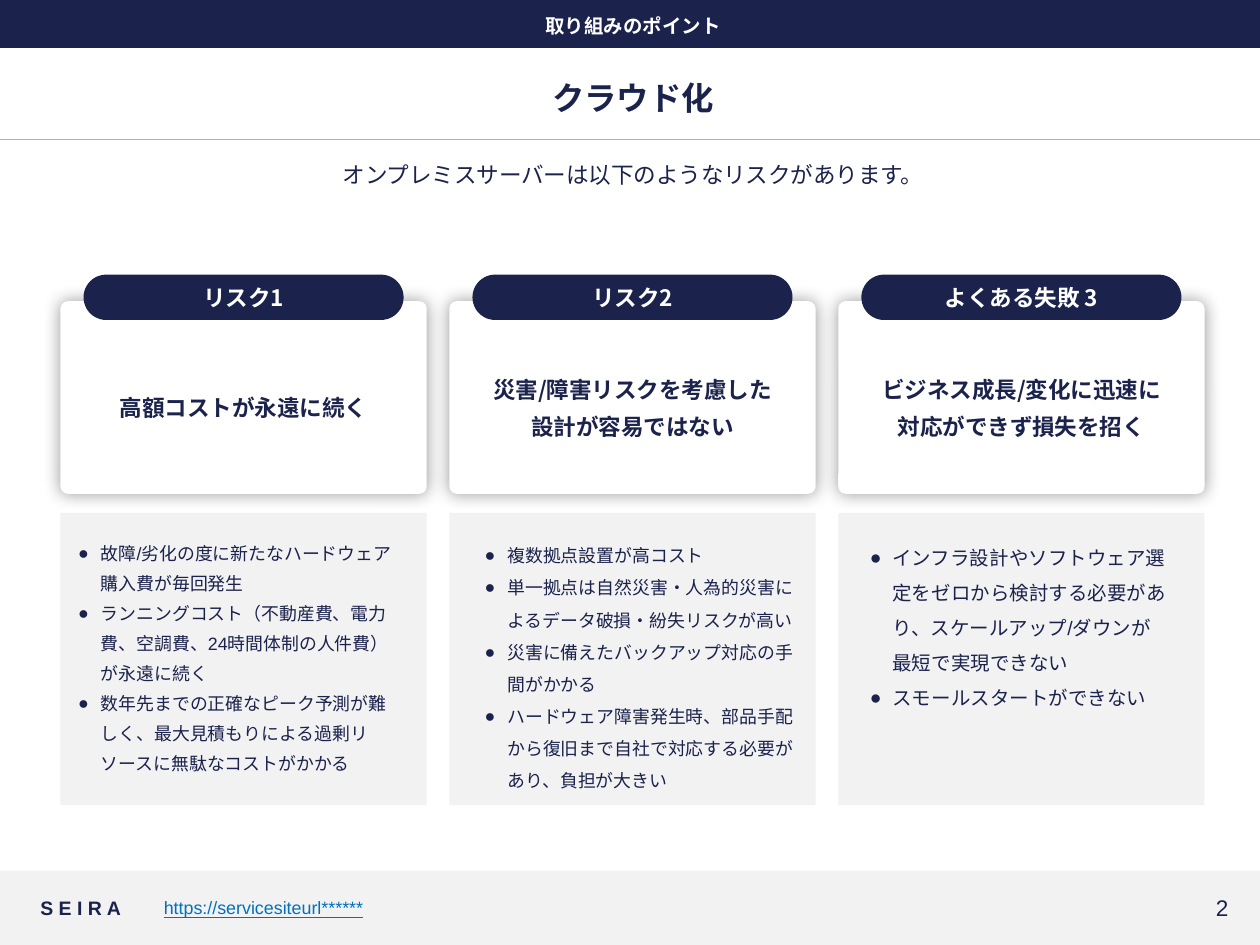
import pptx
import pptx.dml.color
import pptx.enum.shapes
import pptx.enum.text
import pptx.oxml
import pptx.oxml.ns
import pptx.util
from lxml import etree

NAVY, WHITE, PALE, RULE, LINK = "1B224C", "FFFFFF", "F2F2F2", "AFAFAF", "0070C0"
SANS, JAPANESE = "Arial", "Noto Sans CJK JP"
SHAPES = pptx.enum.shapes.MSO_SHAPE
ALIGN = pptx.enum.text.PP_ALIGN
ANCHOR = pptx.enum.text.MSO_ANCHOR
INCH = pptx.util.Inches
POINT = pptx.util.Pt

RISKS = [
    {
        "label": "リスク1",
        "claim": ["高額コストが永遠に続く"],
        "points": [
            "故障/劣化の度に新たなハードウェア購入費が毎回発生",
            "ランニングコスト（不動産費、電力費、空調費、24時間体制の人件費）が永遠に続く",
            "数年先までの正確なピーク予測が難しく、最大見積もりによる過剰リソースに無駄なコストがかかる",
        ],
        "inset": 0.10, "width": 2.65, "size": 10.2, "spacing": 1.4,
    },
    {
        "label": "リスク2",
        "claim": ["災害/障害リスクを考慮した", "設計が容易ではない"],
        "points": [
            "複数拠点設置が高コスト",
            "単一拠点は自然災害・人為的災害によるデータ破損・紛失リスクが高い",
            "災害に備えたバックアップ対応の手間がかかる",
            "ハードウェア障害発生時、部品手配から復旧まで自社で対応する必要があり、負担が大きい",
        ],
        "inset": 0.24, "width": 2.58, "size": 10.2, "spacing": 1.5,
    },
    {
        "label": "よくある失敗 3",
        "claim": ["ビジネス成長/変化に迅速に", "対応ができず損失を招く"],
        "points": [
            "インフラ設計やソフトウェア選定をゼロから検討する必要があり、スケールアップ/ダウンが最短で実現できない",
            "スモールスタートができない",
        ],
        "inset": 0.21, "width": 2.46, "size": 11.1, "spacing": 1.5,
    },
]


def color(value):
    return pptx.dml.color.RGBColor.from_string(value)


def add_child(parent, tag, **attributes):
    return etree.SubElement(parent, pptx.oxml.ns.qn(tag), attributes)


def add_bullet(para):
    properties = para._p.get_or_add_pPr()
    indent = INCH(0.18)
    properties.set("marL", str(indent))
    properties.set("indent", str(-indent))
    properties.set("hangingPunct", "0")
    bullet_color = add_child(properties, "a:buClr")
    add_child(bullet_color, "a:srgbClr", val=NAVY)
    add_child(properties, "a:buFont", typeface=SANS)
    add_child(properties, "a:buChar", char="●")


def write(shape, lines, size, tint=NAVY, font=JAPANESE, bold=False, underline=False,
          align=ALIGN.CENTER, anchor=ANCHOR.MIDDLE, after=0, spacing=None, bullets=False):
    frame = shape.text_frame
    frame.word_wrap = True
    frame.auto_size = pptx.enum.text.MSO_AUTO_SIZE.NONE
    frame.vertical_anchor = anchor
    frame.margin_left = frame.margin_right = INCH(0.04)
    frame.margin_top = frame.margin_bottom = INCH(0.04)
    frame.text = "\n".join(lines)
    for para in frame.paragraphs:
        para.alignment = align
        para.space_after = POINT(after)
        if spacing:
            para.line_spacing = spacing
        if bullets:
            add_bullet(para)
        para.font.size = POINT(size)
        para.font.bold = bold
        para.font.underline = underline
        para.font.color.rgb = color(tint)
        para.font.name = font
        add_child(para.font._element, "a:ea", typeface=JAPANESE)


def add_text(page, box, lines, size, **style):
    shape = page.shapes.add_textbox(*map(INCH, box))
    write(shape, lines, size, **style)


def add_block(page, box, fill, kind=SHAPES.RECTANGLE, rounding=None):
    shape = page.shapes.add_shape(kind, *map(INCH, box))
    shape.shadow.inherit = False
    shape.fill.solid()
    shape.fill.fore_color.rgb = color(fill)
    shape.line.fill.background()
    if rounding is not None:
        shape.adjustments[0] = rounding
    return shape


def add_glow_shadow(shape):
    effects = shape._element.spPr.find(pptx.oxml.ns.qn("a:effectLst"))
    shadow = add_child(effects, "a:outerShdw", blurRad=str(POINT(10)), dist="0",
                       dir="0", algn="ctr", rotWithShape="0")
    shade = add_child(shadow, "a:srgbClr", val="000000")
    add_child(shade, "a:alpha", val="40000")


def build_header(page, box):
    left, top, width, height = box
    margin = 0.048 * width
    inner = width - 2 * margin + 0.05
    add_block(page, (left, top, width, 0.38), NAVY)
    add_text(page, (left + margin, top + 0.07, inner, 0.28), ["取り組みのポイント"],
             11.1, tint=WHITE, bold=True, anchor=ANCHOR.TOP)
    title = page.shapes.title
    title.left, title.top = INCH(left + margin), INCH(top + 0.58)
    title.width, title.height = INCH(inner), INCH(0.39)
    write(title, ["クラウド化"], 18.5, bold=True)
    rule_y = INCH(top + 1.11)
    rule = page.shapes.add_connector(pptx.enum.shapes.MSO_CONNECTOR.STRAIGHT,
                                     INCH(left), rule_y, INCH(left + width), rule_y)
    rule.line.color.rgb = color(RULE)
    rule.line.width = POINT(0.5)
    add_child(rule._element.spPr, "a:effectLst")
    add_text(page, (left + margin, top + 1.24, inner, height - 1.24),
             ["オンプレミスサーバーは以下のようなリスクがあります。"],
             12.9, anchor=ANCHOR.TOP, after=3.7)


def build_risk(page, box, risk):
    left, top, width, height = box
    pill_width = 2.54
    pill_left = left + (width - pill_width) / 2
    card = add_block(page, (left, top + 0.21, width, 1.53), WHITE,
                     SHAPES.ROUNDED_RECTANGLE, 0.039)
    add_glow_shadow(card)
    pill = add_block(page, (pill_left, top, pill_width, 0.36), NAVY,
                     SHAPES.ROUNDED_RECTANGLE, 0.5)
    write(pill, [risk["label"]], 12.9, tint=WHITE, bold=True)
    add_text(page, (pill_left, top + 0.51, pill_width, 1.09), risk["claim"],
             12.9, bold=True, after=5.5)
    panel_top = top + 1.89
    panel_height = height - 1.89
    add_block(page, (left, panel_top, width, panel_height), PALE)
    add_text(page, (left + risk["inset"], panel_top + 0.13, risk["width"], panel_height - 0.25),
             risk["points"], risk["size"], font=SANS, align=ALIGN.LEFT,
             anchor=ANCHOR.TOP, spacing=risk["spacing"], bullets=True)


def build_risks(page, box, risks):
    left, top, width, height = box
    gap = 0.18
    column = (width - gap * (len(risks) - 1)) / len(risks)
    for index, risk in enumerate(risks):
        build_risk(page, (left + index * (column + gap), top, column, height), risk)


def build_footer(page, box):
    left, top, width, height = box
    add_block(page, box, PALE)
    row, row_height = top + 0.14, 0.31
    add_text(page, (left + 0.28, row, 0.98, row_height), ["S E I R A"], 11.1,
             font=SANS, bold=True, align=ALIGN.LEFT)
    add_text(page, (left + 1.26, row, 7.28, row_height), ["https://servicesiteurl******"],
             10.2, tint=LINK, font=SANS, underline=True, align=ALIGN.LEFT)
    add_text(page, (left + width - 1.19, row, 0.98, row_height), ["2"], 12.9,
             font=SANS, align=ALIGN.RIGHT)


def main():
    deck = pptx.Presentation()
    deck.slide_width, deck.slide_height = INCH(10), INCH(7.5)
    page = deck.slides.add_slide(deck.slide_layouts[5])
    build_header(page, (0, 0, 10, 1.87))
    build_risks(page, (0.48, 2.18, 9.08, 4.21), RISKS)
    build_footer(page, (0, 6.91, 10, 0.59))
    deck.save("out.pptx")


if __name__ == "__main__":
    main()
